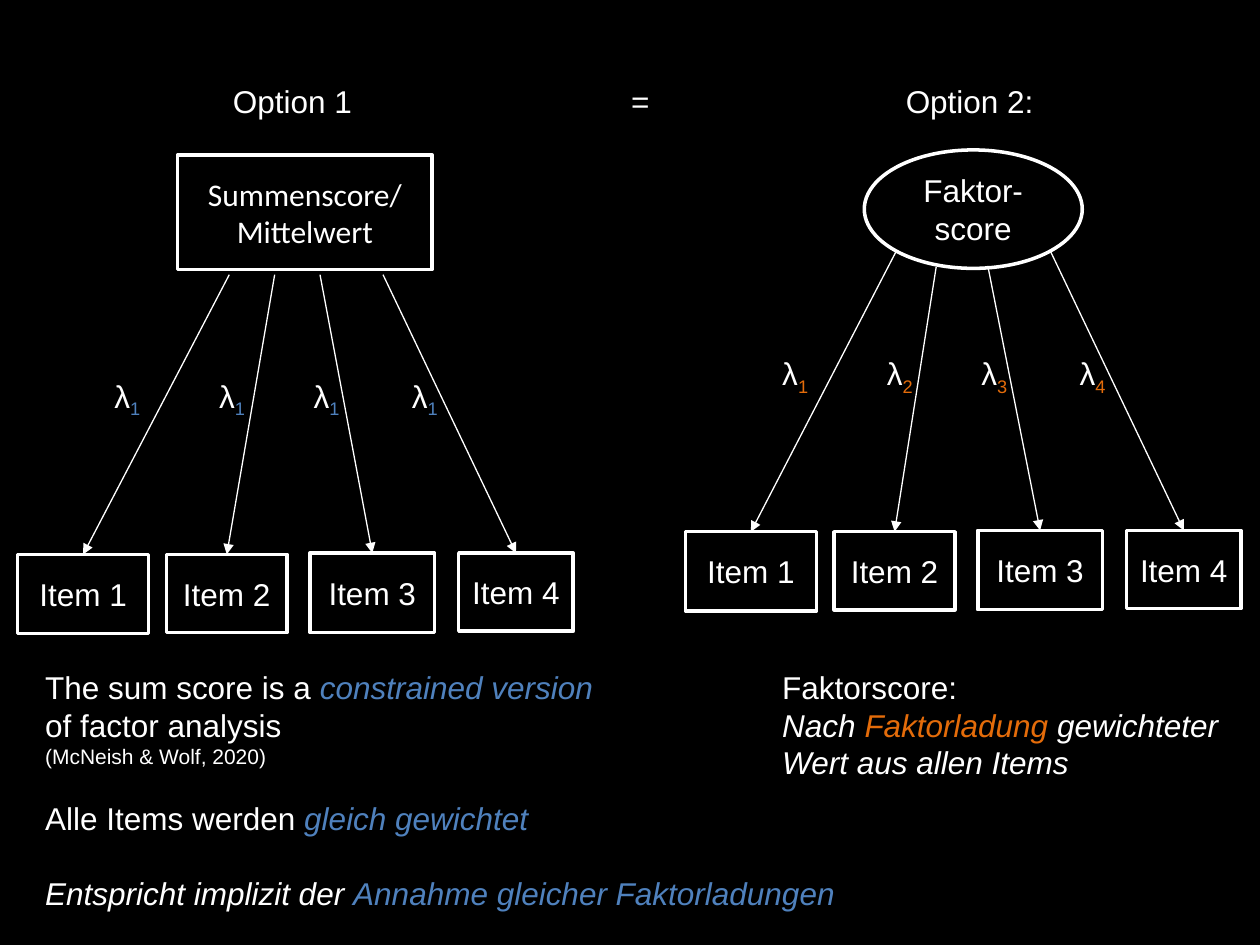
from lxml import etree
from pptx import Presentation
from pptx.dml.color import RGBColor
from pptx.enum.shapes import MSO_CONNECTOR, MSO_SHAPE
from pptx.enum.text import MSO_ANCHOR, MSO_AUTO_SIZE, PP_ALIGN
from pptx.oxml.ns import qn
from pptx.util import Inches, Pt

RECTANGLE, ELLIPSE = MSO_SHAPE.RECTANGLE, MSO_SHAPE.OVAL
STRAIGHT = MSO_CONNECTOR.STRAIGHT
MIDDLE, CENTER, LEFT = MSO_ANCHOR.MIDDLE, PP_ALIGN.CENTER, PP_ALIGN.LEFT
GROW = MSO_AUTO_SIZE.SHAPE_TO_FIT_TEXT

THEME = {
    "background": "000000", "white": "FFFFFF", "blue": "4F81BD", "orange": "E46C0A",
    "font": "Arial", "score_font": "Calibri", "body": 18, "small": 12,
    "outline": 2, "arrow": 0.75, "paragraph_gap": 21.6,
}

# Item boxes and loading labels of option 1; option 2 repeats them at an offset.
ITEMS = [  # text, left, top, width, height
    ("Item 1", 0.14, 4.4, 1.04, 0.63),
    ("Item 2", 1.32, 4.4, 0.96, 0.62),
    ("Item 3", 2.46, 4.39, 0.99, 0.63),
    ("Item 4", 3.64, 4.39, 0.91, 0.62),
]
LOADING_LEFTS = [0.81, 1.64, 2.39, 3.17]
LOADING_TOP = 2.94

DIAGRAMS = [
    {
        "offset": (0, 0), "shape": RECTANGLE, "box": (1.41, 1.23, 2.02, 0.91),
        "score": ["Summenscore/", "Mittelwert"], "font": "score_font",
        "starts": [(1.82, 2.18), (2.18, 2.18), (2.54, 2.18), (3.04, 2.18)],
        "subscripts": "1111", "color": "blue",
    },
    {
        "offset": (5.3, -0.18), "shape": ELLIPSE, "box": (6.86, 1.19, 1.73, 0.94),
        "score": ["Faktor-score"], "font": "font",
        "starts": [(7.11, 2), (7.43, 2.12), (7.84, 2.11), (8.34, 2)],
        "subscripts": "1234", "color": "orange",
    },
]

# Each text holds paragraphs, each paragraph runs of (text, format).
ITALIC = {"italic": True}
BLUE_ITALIC = {"color": "blue", "italic": True}
HEADINGS = [
    ((1.75, 0.6, 5.85, 0.4), [[("Option 1\t=", {})]]),
    ((7.09, 0.6, 1.32, 0.4), [[("Option 2:", {})]]),
]
EQUALS_TAB = 3.16
NOTES = [
    ((0.26, 5.25, 4.57, 0.91), [
        [("The sum score is a ", {}), ("constrained version ", BLUE_ITALIC),
         ("of factor analysis", {})],
        [("(McNeish & Wolf, 2020)", {"size": "small"})],
    ]),
    ((6.11, 5.25, 8.21, 1.01), [
        [("Faktorscore:", {})],
        [("Nach ", ITALIC), ("Faktorladung", {"color": "orange", "italic": True}),
         (" gewichteter", ITALIC)],
        [("Wert aus allen Items", ITALIC)],
    ]),
]
CONCLUSION = ((0.26, 6.29, 7.82, 1.01), [
    [("Alle Items werden ", {}), ("gleich gewichtet", BLUE_ITALIC)],
    [("Entspricht implizit der ", ITALIC),
     ("Annahme gleicher Faktorladungen", BLUE_ITALIC)],
])


def theme_color(name):
    return RGBColor.from_string(THEME[name])


def add_run(paragraph, text, color="white", size="body", font="font",
            italic=False, subscript=False):
    run = paragraph.add_run()
    run.text = text
    run.font.name = THEME[font]
    run.font.size = Pt(THEME[size])
    run.font.italic = italic
    run.font.color.rgb = theme_color(color)
    if subscript:
        run._r.get_or_add_rPr().set("baseline", "-25000")


def fill_text(frame, paragraphs, align=LEFT, gap=0):
    frame.word_wrap = True
    for index, runs in enumerate(paragraphs):
        paragraph = frame.add_paragraph() if index else frame.paragraphs[0]
        paragraph.alignment = align
        if index and gap:
            paragraph.space_before = Pt(gap)
        for text, run_format in runs:
            add_run(paragraph, text, **run_format)


def add_text(slide, box, paragraphs, gap=0):
    shape = slide.shapes.add_textbox(*map(Inches, box))
    fill_text(shape.text_frame, paragraphs, gap=gap)
    shape.text_frame.auto_size = GROW
    return shape


def add_node(slide, kind, box, lines, font="font"):
    shape = slide.shapes.add_shape(kind, *map(Inches, box))
    shape.shadow.inherit = False
    shape.fill.background()
    shape.line.color.rgb = theme_color("white")
    shape.line.width = Pt(THEME["outline"])
    shape.text_frame.vertical_anchor = MIDDLE
    fill_text(shape.text_frame, [[(line, {"font": font})] for line in lines], align=CENTER)


def add_arrow(slide, start, end):
    arrow = slide.shapes.add_connector(STRAIGHT, *map(Inches, (*start, *end)))
    arrow.line.color.rgb = theme_color("white")
    arrow.line.width = Pt(THEME["arrow"])
    etree.SubElement(arrow.line._get_or_add_ln(), qn("a:tailEnd"), type="triangle")
    etree.SubElement(arrow._element.spPr, qn("a:effectLst"))


def add_tab_stop(shape, position):
    properties = shape.text_frame.paragraphs[0]._p.get_or_add_pPr()
    tabs = etree.SubElement(properties, qn("a:tabLst"))
    etree.SubElement(tabs, qn("a:tab"), pos=str(Inches(position)), algn="l")


def add_diagram(slide, diagram):
    """Draw a score, its items, and an arrow with a loading label to each item."""
    shift_x, shift_y = diagram["offset"]
    add_node(slide, diagram["shape"], diagram["box"], diagram["score"], diagram["font"])
    for item, start, loading_left, subscript in zip(
            ITEMS, diagram["starts"], LOADING_LEFTS, diagram["subscripts"]):
        text, left, top, width, height = item
        left, top = left + shift_x, top + shift_y
        add_node(slide, RECTANGLE, (left, top, width, height), [text])
        add_arrow(slide, start, (left + width / 2, top))
        label = [("λ", {}), (subscript, {"color": diagram["color"], "subscript": True})]
        add_text(slide, (loading_left + shift_x, LOADING_TOP + shift_y, 0.78, 0.4), [label])


def main():
    presentation = Presentation()
    presentation.slide_width, presentation.slide_height = Inches(10), Inches(7.5)
    slide = presentation.slides.add_slide(presentation.slide_layouts.get_by_name("Blank"))
    slide.background.fill.solid()
    slide.background.fill.fore_color.rgb = theme_color("background")

    headings = [add_text(slide, *heading) for heading in HEADINGS]
    add_tab_stop(headings[0], EQUALS_TAB)
    for diagram in DIAGRAMS:
        add_diagram(slide, diagram)
    for note in NOTES:
        add_text(slide, *note)
    add_text(slide, *CONCLUSION, gap=THEME["paragraph_gap"])
    presentation.save("out.pptx")


if __name__ == "__main__":
    main()
